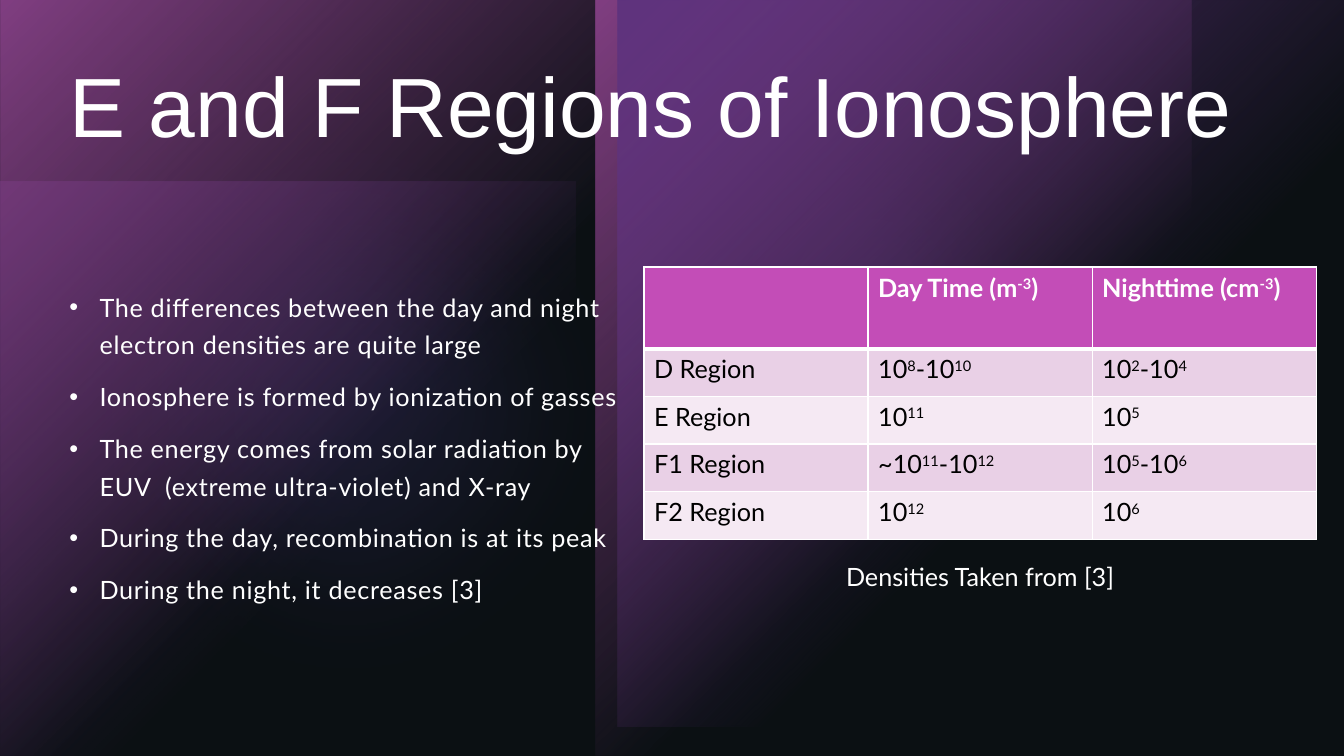
from lxml import etree
from pptx import Presentation
from pptx.dml.color import RGBColor
from pptx.enum.shapes import MSO_SHAPE
from pptx.enum.text import PP_ALIGN
from pptx.oxml.ns import qn
from pptx.util import Cm, Pt

RECT, OVAL = MSO_SHAPE.RECTANGLE, MSO_SHAPE.OVAL
CENTER = PP_ALIGN.CENTER

COLORS = {
    "black": "000000", "white": "FFFFFF", "pink": "C34DB7", "purple": "8C3BB1",
    "violet": "6D4DC3", "veil": "1C2831", "band": "E9D0E6", "pale": "F5E9F3",
}
WIDTH, HEIGHT = 33.87, 19.05
MARGIN = 1.5
TABLE_LEFT, TABLE_WIDTH = 16.23, 16.94
HALF = 15.01

FACTS = [
    "The differences between the day and night electron densities are quite large",
    "Ionosphere is formed by ionization of gasses",
    "The energy comes from solar radiation by EUV  (extreme ultra-violet) and X-ray",
    "During the day, recombination is at its peak",
    "During the night, it decreases [3]",
]
DENSITIES = [
    ["", "Day Time (m|-3|)", "Nighttime (cm|-3|)"],
    ["D Region", "10|8|-10|10", "10|2|-10|4"],
    ["E Region", "10|11", "10|5"],
    ["F1 Region", "~10|11|-10|12", "10|5|-10|6"],
    ["F2 Region", "10|12", "10|6"],
]


class Deck:
    """Holds the style and the current slide, and draws each kind of element."""

    def __init__(self):
        self.prs = Presentation()
        self.prs.slide_width, self.prs.slide_height = Cm(WIDTH), Cm(HEIGHT)
        self.slide = self.prs.slides.add_slide(self.prs.slide_layouts[6])
        self.paint(self.slide.background.fill, "black")

    def paint(self, fill, color):
        fill.solid()
        fill.fore_color.rgb = RGBColor.from_string(COLORS[color])

    def add_color(self, parent, color, alpha=100):
        tint = etree.SubElement(parent, qn("a:srgbClr"), val=COLORS[color])
        if alpha < 100:
            etree.SubElement(tint, qn("a:alpha"), val=str(alpha * 1000))

    def panel(self, kind, box, rotation=0, flip=""):
        panel = self.slide.shapes.add_shape(kind, *map(Cm, box))
        panel.shadow.inherit = False
        panel.line.fill.background()
        panel.rotation = rotation
        for axis in flip:
            panel._element.spPr.xfrm.set("flip" + axis, "1")
        return panel

    def tinted(self, kind, box, color, alpha, soft=0, flip=""):
        panel = self.panel(kind, box, flip=flip)
        self.paint(panel.fill, color)
        solid = panel._element.spPr.find(qn("a:solidFill"))
        solid.clear()
        self.add_color(solid, color, alpha)
        if soft:
            effects = panel._element.spPr.find(qn("a:effectLst"))
            etree.SubElement(effects, qn("a:softEdge"), rad=str(Pt(soft)))

    def glow(self, box, color, alpha=100, rotation=0, flip="V"):
        panel = self.panel(RECT, box, rotation, flip)
        panel.fill.background()
        properties = panel._element.spPr
        gradient = etree.Element(qn("a:gradFill"), rotWithShape="1")
        stops = etree.SubElement(gradient, qn("a:gsLst"))
        for position, opacity in ((0, alpha), (60, 0)):
            stop = etree.SubElement(stops, qn("a:gs"), pos=str(position * 1000))
            self.add_color(stop, color, opacity)
        radial = etree.SubElement(gradient, qn("a:path"), path="circle")
        etree.SubElement(radial, qn("a:fillToRect"), r="100000", b="100000")
        properties.replace(properties.find(qn("a:noFill")), gradient)

    def style(self, paragraph, size=18, font="Lato", color="white", bold=False):
        paragraph.font.size = Pt(size)
        paragraph.font.name = font
        paragraph.font.bold = bold
        self.paint(paragraph.font.fill, color)

    def frame(self, box):
        frame = self.slide.shapes.add_textbox(*map(Cm, box)).text_frame
        frame.word_wrap = True
        return frame

    def text(self, box, words, align=None, spacing=None, **style):
        paragraph = self.frame(box).paragraphs[0]
        paragraph.text = words
        paragraph.alignment = align
        paragraph.line_spacing = spacing
        self.style(paragraph, **style)

    def bullets(self, box, items):
        frame = self.frame(box)
        for index, item in enumerate(items):
            paragraph = frame.add_paragraph() if index else frame.paragraphs[0]
            paragraph.text = item
            paragraph.line_spacing = 1.25
            if index:
                paragraph.space_before = Pt(10)
            properties = paragraph._p.get_or_add_pPr()
            properties.set("marL", str(Cm(0.76)))
            properties.set("indent", str(-Cm(0.76)))
            etree.SubElement(properties, qn("a:buFont"), typeface="Arial")
            etree.SubElement(properties, qn("a:buChar"), char="•")
            self.style(paragraph)
            properties.find(qn("a:defRPr")).set("spc", "50")

    def borders(self, cell, top, bottom):
        properties = cell._tc.get_or_add_tcPr()
        for side, width in (("L", 1), ("R", 1), ("T", top), ("B", bottom)):
            line = etree.SubElement(properties, qn("a:ln" + side), w=str(Pt(width)))
            self.add_color(etree.SubElement(line, qn("a:solidFill")), "white")

    def table(self, box, rows, heights):
        table = self.slide.shapes.add_table(
            len(rows), len(rows[0]), *map(Cm, box)).table
        for column in table.columns:
            column.width = Cm(box[2] / len(rows[0]))
        for r, row in enumerate(rows):
            table.rows[r].height = Cm(heights[r])
            header = r == 0
            fill = "pink" if header else "band" if r % 2 else "pale"
            for c, content in enumerate(row):
                cell = table.cell(r, c)
                self.borders(cell, 3 if r == 1 else 1, 3 if header else 1)
                self.paint(cell.fill, fill)
                paragraph = cell.text_frame.paragraphs[0]
                for part, words in enumerate(content.split("|") if content else []):
                    run = paragraph.add_run()
                    run.text = words
                    if part % 2:
                        run._r.get_or_add_rPr().set("baseline", "30000")
                self.style(paragraph, color="white" if header else "black", bold=header)


def main():
    deck = Deck()
    deck.glow((0, 4.57, 14.5, 14.5), "purple", alpha=60)
    deck.tinted(OVAL, (15.98, 1.09, 11.99, 11.99), "violet", 60, soft=100, flip="V")
    deck.tinted(OVAL, (0, 1.42, 17.63, 17.63), "violet", 20, soft=100, flip="V")
    deck.glow((0, 0, HALF, HEIGHT), "pink", rotation=180)
    deck.glow((HALF, 0, HALF, HEIGHT), "pink", rotation=180, flip="HV")
    deck.glow((15.57, 0, 18.31, 18.31), "purple", rotation=180)
    deck.tinted(RECT, (0, 0, WIDTH, HEIGHT), "veil", 40)
    deck.text((MARGIN, MARGIN, 30.84, 5.03), "E and F Regions of Ionosphere",
              spacing=0.9, size=60, font="Arial")
    deck.bullets((MARGIN, 7.04, 14.73, 10.49), FACTS)
    deck.table((TABLE_LEFT, 6.73, TABLE_WIDTH, 6.86), DENSITIES, [2.06] + [1.2] * 4)
    deck.text((TABLE_LEFT, 14.02, TABLE_WIDTH, 1.02), "Densities Taken from [3]",
              align=CENTER)
    deck.prs.save("out.pptx")


if __name__ == "__main__":
    main()
